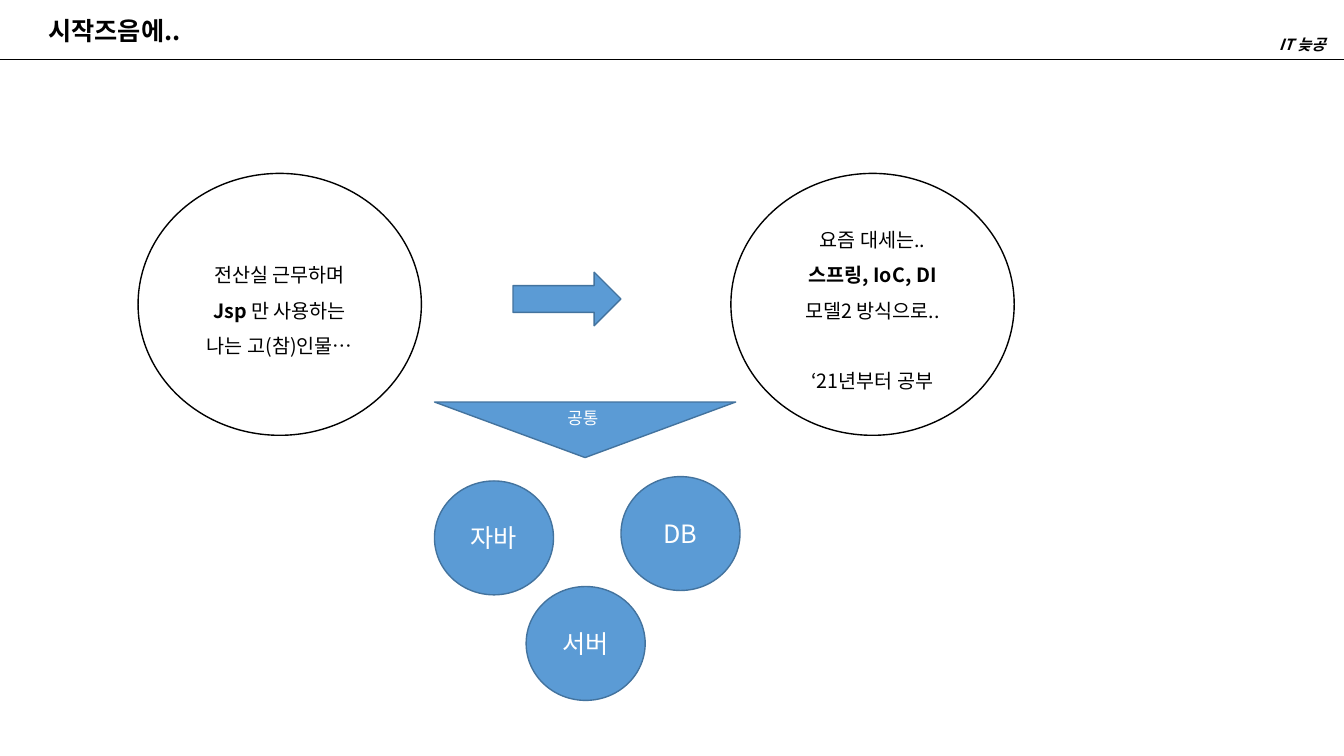
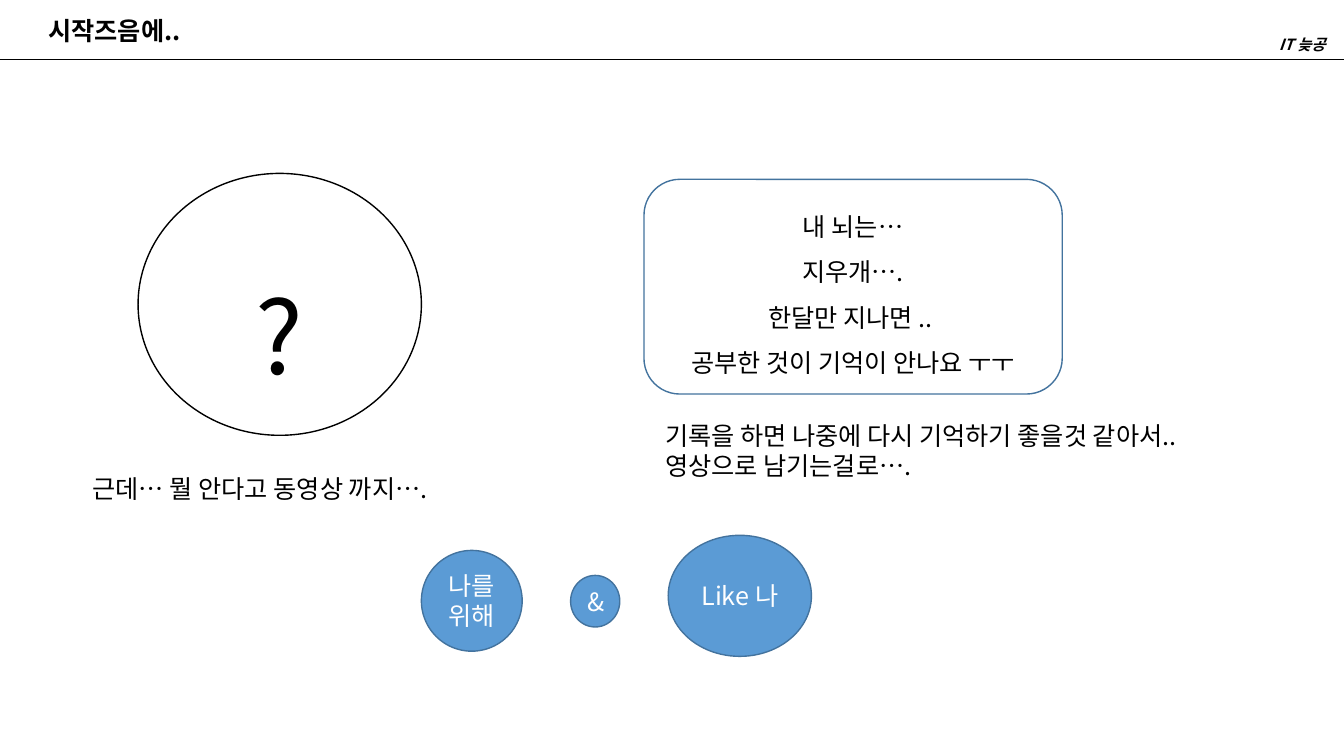
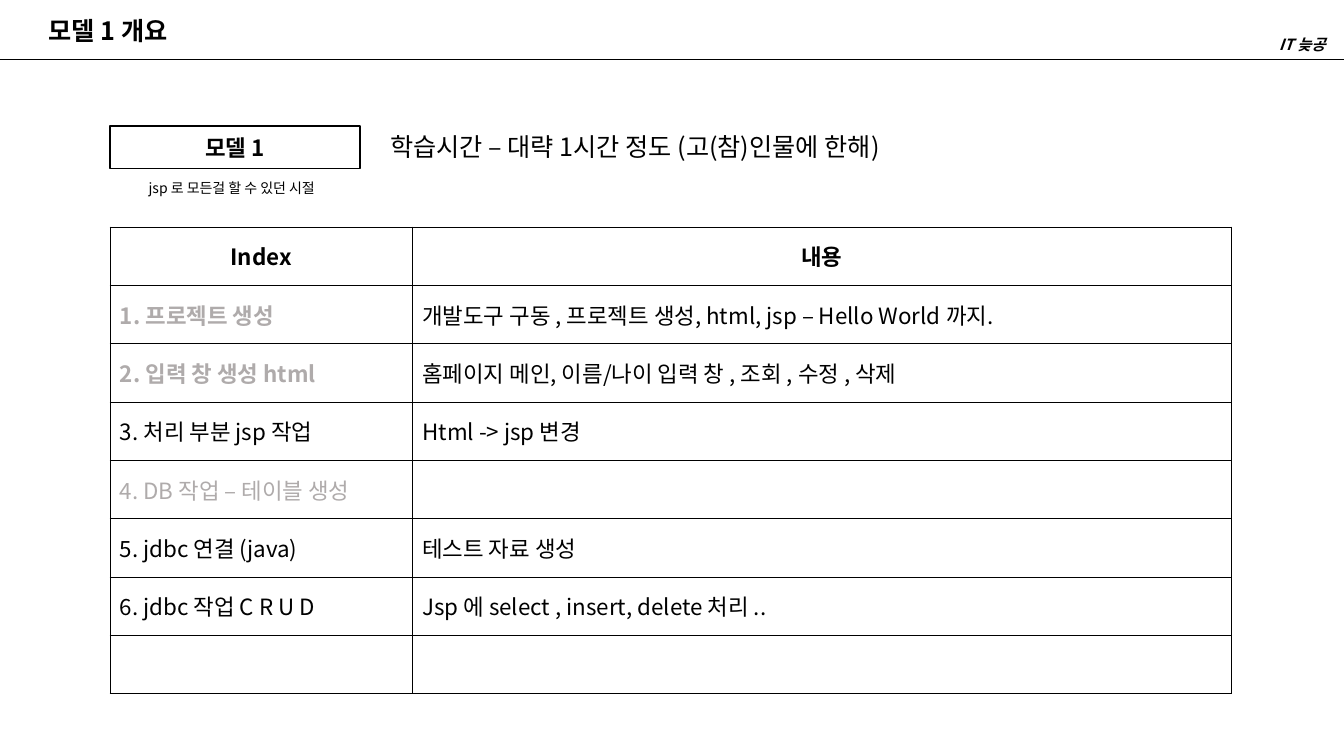
import pptx
import pptx.dml.color
import pptx.enum.shapes
import pptx.enum.text
import pptx.oxml.ns
import pptx.util
from lxml import etree

Cm, Pt = pptx.util.Cm, pptx.util.Pt
Shape = pptx.enum.shapes.MSO_SHAPE
Align = pptx.enum.text.PP_ALIGN
Anchor = pptx.enum.text.MSO_ANCHOR
qn = pptx.oxml.ns.qn


def color(value):
    return pptx.dml.color.RGBColor.from_string(value)


class Deck:
    FONT = "Noto Sans CJK KR"
    BLACK, WHITE, GRAY = "000000", "FFFFFF", "AFABAB"
    BLUE, EDGE = "5B9BD5", "43739E"
    WIDTH, HEIGHT = 33.87, 19.05

    def __init__(self):
        self.deck = pptx.Presentation()
        self.deck.slide_width = Cm(self.WIDTH)
        self.deck.slide_height = Cm(self.HEIGHT)
        self.page = None

    def add_page(self, title):
        self.page = self.deck.slides.add_slide(self.deck.slide_layouts[6])
        self.rule(1.5)
        self.text((0.97, 0.25, 4.06, 1.02), [title], bold=True)
        self.text((31.98, 0.76, 1.78, 0.74), ["IT 늦공"], size=11, bold=True, italic=True)

    def rule(self, top):
        line = self.page.shapes.add_connector(
            pptx.enum.shapes.MSO_CONNECTOR.STRAIGHT, 0, Cm(top), Cm(self.WIDTH), Cm(top))
        line.line.color.rgb = color(self.BLACK)
        line.line.width = Pt(0.5)
        etree.SubElement(line._element.spPr, qn("a:effectLst"))

    def fill_text(self, frame, paras, size=18, ink=BLACK, bold=False, italic=False,
                  align=Align.LEFT, spacing=None):
        for index, content in enumerate(paras):
            para = frame.paragraphs[0] if index == 0 else frame.add_paragraph()
            para.alignment = align
            para.line_spacing = spacing
            font = para.font
            font.name = self.FONT
            font.size = Pt(size)
            font.bold = bold
            font.italic = italic
            font.color.rgb = color(ink)
            defaults = para._p.pPr.find(qn("a:defRPr"))
            etree.SubElement(defaults, qn("a:ea")).set("typeface", self.FONT)
            spans = [(content, bold)] if isinstance(content, str) else content
            for words, strong in spans:
                span = para.add_run()
                span.text = words
                if strong != bold:
                    span.font.bold = strong

    def text(self, place, paras, wrap=False, **style):
        box = self.page.shapes.add_textbox(*map(Cm, place))
        box.text_frame.word_wrap = wrap
        box.text_frame.auto_size = pptx.enum.text.MSO_AUTO_SIZE.SHAPE_TO_FIT_TEXT
        self.fill_text(box.text_frame, paras, **style)

    def shape(self, kind, place, paras=(), fill=None, edge=None, **style):
        shape = self.page.shapes.add_shape(kind, *map(Cm, place))
        shape.shadow.inherit = False
        if fill:
            shape.fill.solid()
            shape.fill.fore_color.rgb = color(fill)
        else:
            shape.fill.background()
        if edge:
            shape.line.color.rgb = color(edge)
            shape.line.width = Pt(1)
        else:
            shape.line.fill.background()
        shape.text_frame.vertical_anchor = Anchor.MIDDLE
        self.fill_text(shape.text_frame, paras, align=Align.CENTER, **style)
        return shape

    def outline(self, kind, place, paras, edge=BLACK, **style):
        return self.shape(kind, place, paras, edge=edge, **style)

    def solid(self, kind, place, paras=()):
        return self.shape(kind, place, paras, fill=self.BLUE, edge=self.EDGE, ink=self.WHITE)

    def border(self, cell):
        properties = cell._tc.get_or_add_tcPr()
        for side in ("lnL", "lnR", "lnT", "lnB"):
            line = etree.SubElement(properties, qn("a:" + side), w=str(Pt(0.5)))
            fill = etree.SubElement(line, qn("a:solidFill"))
            etree.SubElement(fill, qn("a:srgbClr"), val=self.BLACK)

    def table(self, left, top, widths, row_height, rows, styles):
        table = self.page.shapes.add_table(
            len(rows), len(widths), Cm(left), Cm(top),
            Cm(sum(widths)), Cm(row_height * len(rows))).table
        table.first_row = table.horz_banding = False
        for column, width in zip(table.columns, widths):
            column.width = Cm(width)
        for row_index, row in enumerate(rows):
            table.rows[row_index].height = Cm(row_height)
            for column_index, words in enumerate(row):
                cell = table.cell(row_index, column_index)
                self.border(cell)
                cell.fill.background()
                cell.vertical_anchor = Anchor.MIDDLE
                if words:
                    style = styles.get((row_index, column_index), {})
                    self.fill_text(cell.text_frame, [words], size=16, **style)


show = Deck()
LEFT_CIRCLE = (3.48, 4.37, 7.14, 6.6)
RIGHT_CIRCLE = (18.42, 4.37, 7.14, 6.6)

show.add_page("시작즈음에..")
show.outline(Shape.OVAL, LEFT_CIRCLE,
             ["전산실 근무하며", [("Jsp ", True), ("만 사용하는", False)], "나는 고(참)인물…"],
             size=14, spacing=1.5)
trend = show.outline(Shape.OVAL, RIGHT_CIRCLE,
                     ["요즘 대세는..", [("스프링, IoC, DI", True)], "모델2 방식으로..", "‘21년부터 공부"],
                     size=14, spacing=1.5)
trend.text_frame.paragraphs[-1].space_before = Pt(25)
show.solid(Shape.RIGHT_ARROW, (12.93, 6.86, 2.72, 1.35))
show.solid(Shape.ISOSCELES_TRIANGLE, (10.95, 10.13, 7.59, 1.4)).rotation = 180
for skill, left, top in (("자바", 10.95, 12.12), ("DB", 15.65, 12.01), ("서버", 13.26, 14.78)):
    show.solid(Shape.OVAL, (left, top, 3, 2.87), [skill])
show.shape(Shape.RECTANGLE, (13.13, 10.19, 3.12, 0.66), ["공통"],
           fill=Deck.BLUE, ink=Deck.WHITE, size=12)

show.add_page("시작즈음에..")
show.outline(Shape.OVAL, LEFT_CIRCLE, ["?"], size=72, spacing=1.5)
show.text((2.08, 11.81, 9.58, 1.02), ["근데… 뭘 안다고 동영상 까지…."])
show.outline(Shape.ROUNDED_RECTANGLE, (16.23, 4.52, 10.54, 5.41),
             ["내 뇌는…", "지우개….", "한달만 지나면 .. ", "공부한 것이 기억이 안나요 ㅜㅜ"],
             edge=Deck.EDGE, spacing=1.5)
show.text((16.51, 10.46, 14.99, 1.8),
          ["기록을 하면 나중에 다시 기억하기 좋을것 같아서..", "영상으로 남기는걸로…."])
show.solid(Shape.OVAL, (10.62, 13.87, 2.54, 2.54), ["나를 위해"])
show.solid(Shape.OVAL, (14.38, 14.5, 1.24, 1.3), ["&"])
show.solid(Shape.OVAL, (16.84, 13.49, 3.61, 3.05), ["Like 나"])

show.add_page("모델 1 개요")
show.outline(Shape.RECTANGLE, (2.77, 3.18, 6.3, 1.07), ["모델 1"], size=16, bold=True)
show.text((3.2, 4.39, 5.28, 0.69), ["jsp 로 모든걸 할 수 있던 시절"], size=10, align=Align.CENTER)
heading = {"bold": True, "align": Align.CENTER}
done = {"bold": True, "ink": Deck.GRAY}
show.table(2.77, 5.72, (7.62, 20.65), 1.47, [
    ("Index", "내용"),
    ("1. 프로젝트 생성", "개발도구 구동 , 프로젝트 생성, html, jsp – Hello World 까지."),
    ("2. 입력 창 생성 html", "홈페이지 메인, 이름/나이 입력 창 , 조회 , 수정 , 삭제"),
    ("3. 처리 부분 jsp 작업", "Html -> jsp 변경"),
    ("4. DB 작업 – 테이블 생성", ""),
    ("5. jdbc 연결 (java)", "테스트 자료 생성"),
    ("6. jdbc 작업 C R U D", "Jsp 에 select , insert, delete 처리 .."),
    ("", ""),
], {(0, 0): heading, (0, 1): heading, (1, 0): done, (2, 0): done, (4, 0): {"ink": Deck.GRAY}})
show.text((9.58, 3.18, 14.25, 1.02), ["학습시간 – 대략 1시간 정도 (고(참)인물에 한해)"], wrap=True)

show.deck.save("out.pptx")
